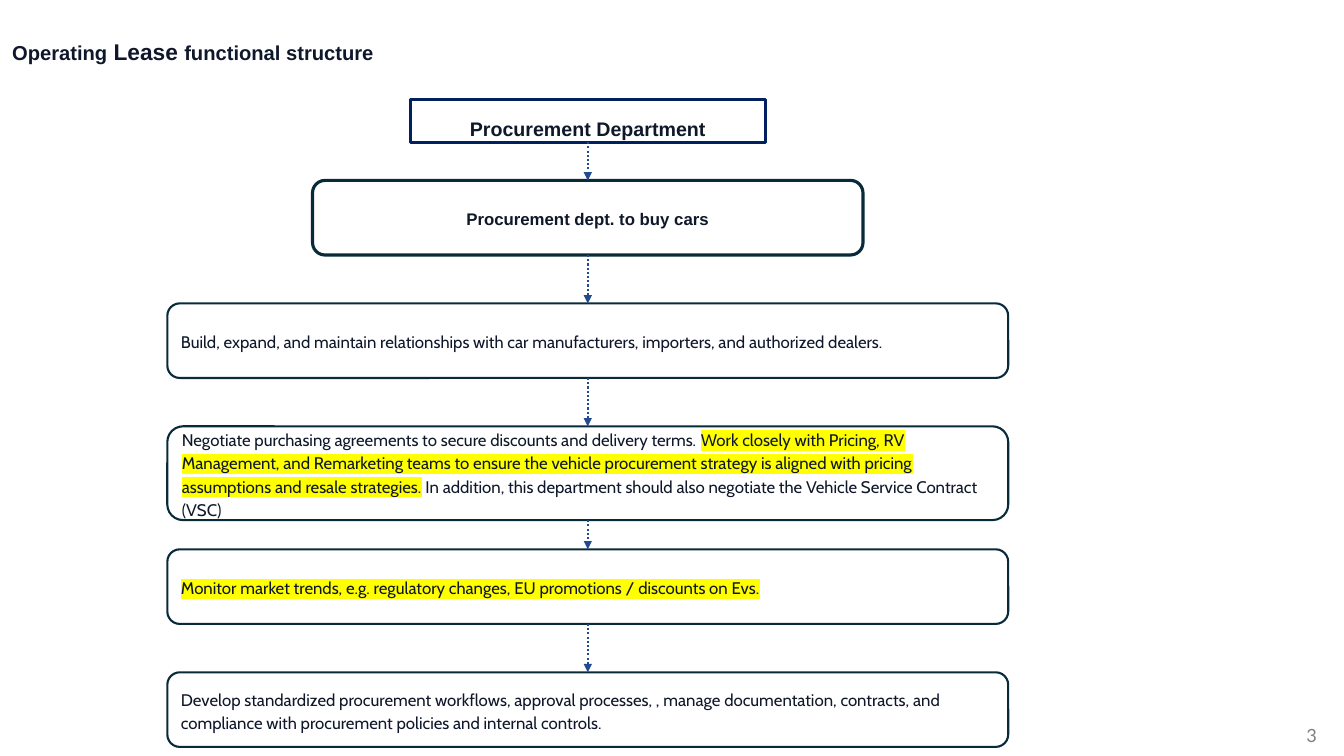
from dataclasses import dataclass

import lxml.etree
import pptx
import pptx.dml.color
import pptx.enum.dml
import pptx.enum.shapes
import pptx.enum.text
import pptx.oxml
import pptx.oxml.ns
import pptx.util

PX = 9144  # EMU per px, 100 px to the inch
CENTER = 583
ALIGN = pptx.enum.text.PP_ALIGN
ANCHOR = pptx.enum.text.MSO_ANCHOR
SHAPE = pptx.enum.shapes.MSO_SHAPE


@dataclass(frozen=True)
class Theme:
    ink: str = "0F172A"
    white: str = "FFFFFF"
    navy: str = "002060"
    border: str = "092A39"
    arrow: str = "224A90"
    muted: str = "808080"
    marker: str = "FFFF00"
    heading_font: str = "Arial"
    body_font: str = "Cabin"
    number_font: str = "Lato"
    title_size: float = 14.4
    title_accent_size: float = 16.2
    header_size: int = 14
    body_size: int = 12
    number_size: int = 13
    thick: float = 2.25
    thin: float = 1.5


def rgb(value):
    return pptx.dml.color.RGBColor.from_string(value)


def apply(target, formats):
    for name, value in formats.items():
        setattr(target, name, value)


class FlowPage:
    """Draws the elements of a vertical flow on one slide."""

    def __init__(self, page, theme):
        self.page = page
        self.theme = theme

    def set_text(self, frame, spans, size, font, color=None, bold=False, **para_formats):
        """Fill the frame with one paragraph of (text, overrides) spans."""
        para = frame.paragraphs[0]
        apply(para, para_formats)
        for text, extra in spans:
            span = para.add_run()
            span.text = text
            apply(span.font, {"size": pptx.util.Pt(extra.get("size", size)),
                              "name": font, "bold": bold})
            span.font.color.rgb = rgb(color or self.theme.ink)
            if "marker" in extra:
                fill = span._r.rPr.find(pptx.oxml.ns.qn("a:solidFill"))
                highlight = lxml.etree.Element(pptx.oxml.ns.qn("a:highlight"))
                tint = lxml.etree.SubElement(highlight, pptx.oxml.ns.qn("a:srgbClr"))
                tint.set("val", extra["marker"])
                fill.addnext(highlight)

    def title(self, spans, left, top, width, height):
        title = self.page.shapes.title
        apply(title, {"left": left * PX, "top": top * PX,
                      "width": width * PX, "height": height * PX})
        apply(title.text_frame, {"vertical_anchor": ANCHOR.MIDDLE, "word_wrap": True,
                                 "auto_size": pptx.enum.text.MSO_AUTO_SIZE.NONE})
        self.set_text(title.text_frame, spans, self.theme.title_size,
                      self.theme.heading_font, bold=True,
                      alignment=ALIGN.LEFT, line_spacing=0.9)

    def page_number(self, text, left, top, width, height):
        box = self.page.shapes.add_textbox(left * PX, top * PX, width * PX, height * PX)
        box.text_frame.word_wrap = True
        self.set_text(box.text_frame, [(text, {})], self.theme.number_size,
                      self.theme.number_font, self.theme.muted, alignment=ALIGN.RIGHT)

    def box(self, kind, top, width, height, line_color, line_width, fill=None,
            anchor=ANCHOR.MIDDLE):
        """Add an outlined box centred on the flow axis."""
        box = self.page.shapes.add_shape(
            kind, (CENTER - width // 2) * PX, top * PX, width * PX, height * PX)
        box.shadow.inherit = False
        if fill:
            box.fill.solid()
            box.fill.fore_color.rgb = rgb(fill)
        else:
            box.fill.background()
        box.line.color.rgb = rgb(line_color)
        box.line.width = pptx.util.Pt(line_width)
        apply(box.text_frame, {"word_wrap": True, "vertical_anchor": anchor})
        return box

    def header(self, text, top, width, height):
        box = self.box(SHAPE.RECTANGLE, top, width, height, self.theme.navy,
                       self.theme.thick, anchor=ANCHOR.TOP)
        self.set_text(box.text_frame, [(text, {})], self.theme.header_size,
                      self.theme.heading_font, bold=True,
                      alignment=ALIGN.CENTER, line_spacing=1.5)
        return box

    def card(self, spans, top, width, height, lead=False):
        theme = self.theme
        box = self.box(SHAPE.ROUNDED_RECTANGLE, top, width, height, theme.border,
                       theme.thick if lead else theme.thin, theme.white)
        self.set_text(box.text_frame, spans, theme.body_size,
                      theme.heading_font if lead else theme.body_font, bold=lead,
                      alignment=ALIGN.CENTER if lead else ALIGN.LEFT,
                      line_spacing=1.15, space_after=pptx.util.Pt(8))
        return box

    def arrow(self, upper, lower):
        arrow = self.page.shapes.add_connector(
            pptx.enum.shapes.MSO_CONNECTOR.STRAIGHT, 0, 0, 0, 0)
        arrow.begin_connect(upper, 2)
        arrow.end_connect(lower, 0)
        arrow.line.color.rgb = rgb(self.theme.arrow)
        apply(arrow.line, {"width": pptx.util.Pt(self.theme.thin),
                           "dash_style": pptx.enum.dml.MSO_LINE.ROUND_DOT})
        properties = arrow._element.spPr
        head = lxml.etree.SubElement(properties.find(pptx.oxml.ns.qn("a:ln")),
                                     pptx.oxml.ns.qn("a:tailEnd"))
        head.set("type", "triangle")
        lxml.etree.SubElement(properties, pptx.oxml.ns.qn("a:effectLst"))


def main():
    deck = pptx.Presentation()
    apply(deck, {"slide_width": 1333 * PX, "slide_height": 750 * PX})
    theme = Theme()
    flow = FlowPage(deck.slides.add_slide(deck.slide_layouts[5]), theme)
    marked = {"marker": theme.marker}

    flow.page_number("3", 1236, 714, 80, 32)
    flow.title([("Operating", {}), (" Lease ", {"size": theme.title_accent_size}),
                ("functional structure", {})], 2, 36, 1106, 34)

    steps = [
        [("Procurement dept. to buy cars", {})],
        [("Build, expand, and maintain relationships with car manufacturers, "
          "importers, and authorized dealers.", {})],
        [("Negotiate purchasing agreements to secure discounts and delivery terms. ", {}),
         ("Work closely with Pricing, RV Management, and Remarketing teams to ensure "
          "the vehicle procurement strategy is aligned with pricing assumptions and "
          "resale strategies.", marked),
         (" In addition, this department should also negotiate the Vehicle Service "
          "Contract (VSC)", {})],
        [("Monitor market trends, e.g. regulatory changes, EU promotions / discounts "
          "on Evs.", marked)],
        [("Develop standardized procurement workflows, approval processes, , manage "
          "documentation, contracts, and compliance with procurement policies and "
          "internal controls.", {})],
    ]
    first_top, pitch = 179, 122
    upper = flow.header("Procurement Department", 99, 352, 42)
    for index, spans in enumerate(steps):
        lead = index == 0
        height = 93 if len(spans) > 1 else 74
        lower = flow.card(spans, first_top + index * pitch,
                          546 if lead else 834, height, lead)
        flow.arrow(upper, lower)
        upper = lower

    deck.save("out.pptx")


if __name__ == "__main__":
    main()
